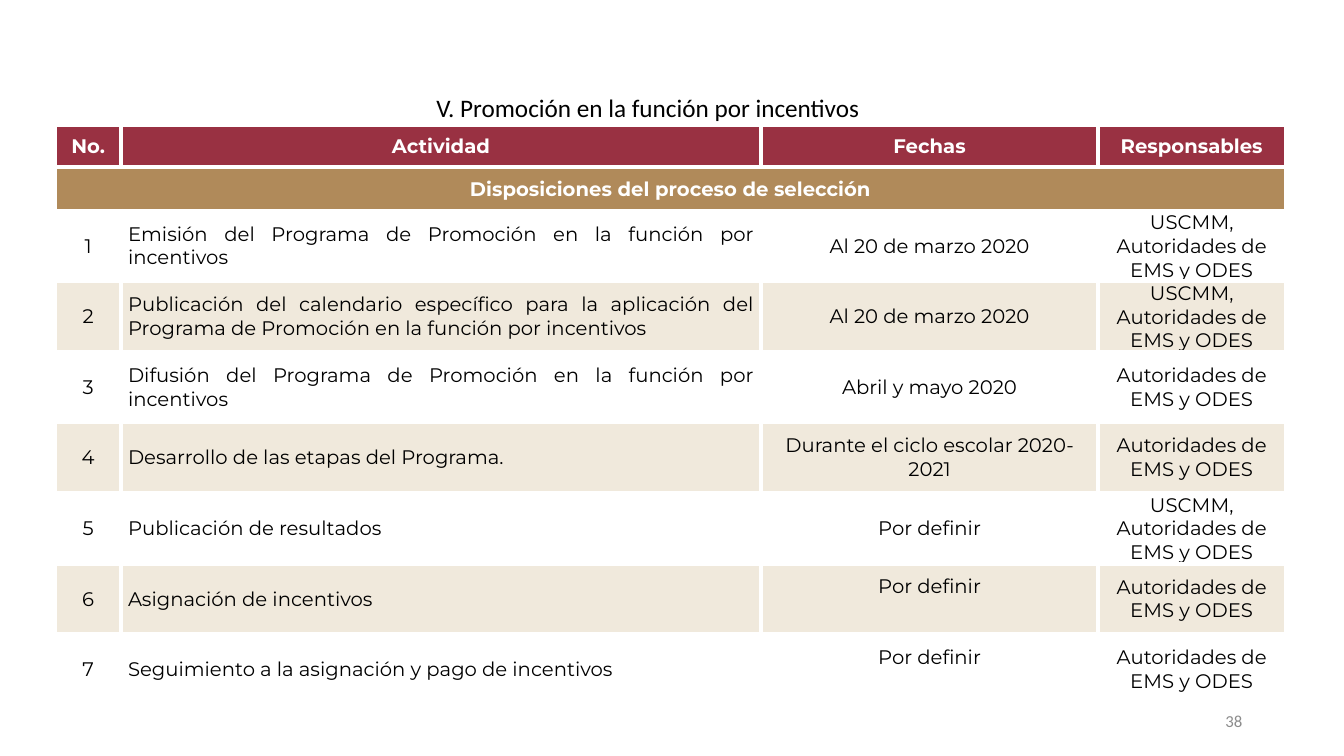
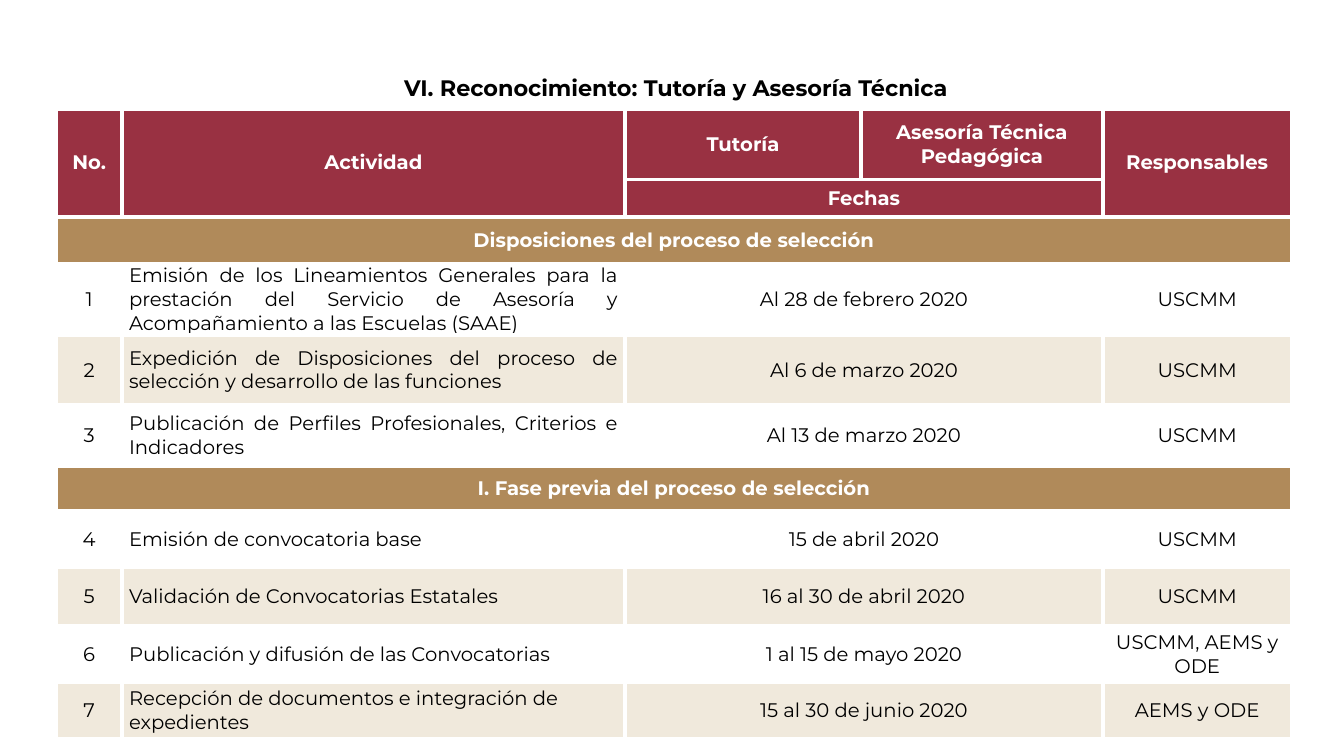
from dataclasses import dataclass

import lxml.etree
import pptx
import pptx.dml.color
import pptx.enum.text
import pptx.oxml.ns
import pptx.util

# Shared look
PX = 9144  # one px is a hundredth of an inch
BODY_FONT, PLAIN_FONT = "Montserrat", "Calibri"
WINE, GOLD, CREAM, WHITE, BLACK, GRAY = "993142", "B08A5A", "F0E9DC", "FFFFFF", "000000", "8C8C8C"
CELL_SIZE, BORDER_POINTS, CELL_MARGIN = 14, 3, 7
ALIGN = pptx.enum.text.PP_ALIGN
ANCHOR = pptx.enum.text.MSO_ANCHOR


@dataclass(frozen=True)
class Heading:
    text: str
    row: int
    column: int
    rows: int = 1
    columns: int = 1


@dataclass(frozen=True)
class Section:
    text: str


@dataclass(frozen=True)
class Activity:
    text: str
    dates: str
    responsible: str
    justified: bool = True
    dates_bottom: int = 0


@dataclass(frozen=True)
class Schedule:
    title: str
    title_box: tuple[int, int, int, int]
    title_font: str
    title_size: int
    title_bold: bool
    corner: tuple[int, int]
    widths: list[int]
    heights: list[int]
    headings: list[Heading]
    entries: list[Section | Activity]
    number: str = ""


def px(length: int) -> pptx.util.Emu:
    return pptx.util.Emu(length * PX)


def color(value: str) -> pptx.dml.color.RGBColor:
    return pptx.dml.color.RGBColor.from_string(value)


def write(frame, text: str, *, font: str = BODY_FONT, size: int = CELL_SIZE,
          ink: str = BLACK, bold: bool = False, align=ALIGN.CENTER) -> None:
    para = frame.paragraphs[0]
    para.alignment = align
    span = para.add_run()
    span.text = text
    span.font.name = font
    span.font.size = pptx.util.Pt(size)
    span.font.bold = bold
    span.font.color.rgb = color(ink)


def add_text(page, place: tuple[int, int, int, int], text: str, *,
             wrap: bool = True, anchor=ANCHOR.TOP, **style) -> None:
    box = page.shapes.add_textbox(*map(px, place))
    frame = box.text_frame
    frame.word_wrap = wrap
    frame.vertical_anchor = anchor
    if not wrap:
        frame.auto_size = pptx.enum.text.MSO_AUTO_SIZE.SHAPE_TO_FIT_TEXT
    write(frame, text, **style)


# Table parts
def set_borders(cell) -> None:
    properties = cell._tc.get_or_add_tcPr()
    for position, side in enumerate(("lnL", "lnR", "lnT", "lnB")):
        line = lxml.etree.Element(pptx.oxml.ns.qn(f"a:{side}"), w=str(pptx.util.Pt(BORDER_POINTS)))
        fill = lxml.etree.SubElement(line, pptx.oxml.ns.qn("a:solidFill"))
        lxml.etree.SubElement(fill, pptx.oxml.ns.qn("a:srgbClr"), val=WHITE)
        properties.insert(position, line)


def paint_row(table, row: int, fill: str) -> None:
    for cell in table.rows[row].cells:
        cell.fill.solid()
        cell.fill.fore_color.rgb = color(fill)
        cell.vertical_anchor = ANCHOR.MIDDLE
        cell.margin_left = cell.margin_right = px(CELL_MARGIN)
        cell.margin_top = cell.margin_bottom = 0
        set_borders(cell)


def fill_cell(table, row: int, column: int, text: str, *, rows: int = 1,
              columns: int = 1, **style):
    cell = table.cell(row, column)
    if rows > 1 or columns > 1:
        cell.merge(table.cell(row + rows - 1, column + columns - 1))
    write(cell.text_frame, text, **style)
    return cell


def add_activity(table, row: int, number: int, activity: Activity) -> None:
    last = len(table.columns) - 1
    fill_cell(table, row, 0, str(number))
    fill_cell(table, row, 1, activity.text,
              align=ALIGN.JUSTIFY if activity.justified else ALIGN.LEFT)
    dates = fill_cell(table, row, 2, activity.dates, columns=last - 2)
    dates.margin_bottom = px(activity.dates_bottom)
    fill_cell(table, row, last, activity.responsible)


def add_table(page, schedule: Schedule) -> None:
    widths, heights = schedule.widths, schedule.heights
    table = page.shapes.add_table(
        len(heights), len(widths), *map(px, (*schedule.corner, sum(widths), sum(heights)))).table
    table.first_row = table.horz_banding = False
    for column, width in zip(table.columns, widths):
        column.width = px(width)
    for row, height in zip(table.rows, heights):
        row.height = px(height)

    header_rows = len(heights) - len(schedule.entries)
    for row in range(header_rows):
        paint_row(table, row, WINE)
    for heading in schedule.headings:
        fill_cell(table, heading.row, heading.column, heading.text, rows=heading.rows,
                  columns=heading.columns, ink=WHITE, bold=True)

    # Numbers run on through the table; the bands restart in each section
    number, banded = 0, False
    for row, entry in enumerate(schedule.entries, header_rows):
        if isinstance(entry, Section):
            paint_row(table, row, GOLD)
            fill_cell(table, row, 0, entry.text, columns=len(widths), ink=WHITE, bold=True)
            banded = False
        else:
            number += 1
            paint_row(table, row, CREAM if banded else WHITE)
            add_activity(table, row, number, entry)
            banded = not banded


def add_page(deck, schedule: Schedule) -> None:
    page = deck.slides.add_slide(deck.slide_layouts[6])
    if schedule.number:
        add_text(page, (942, 695, 300, 40), schedule.number, anchor=ANCHOR.MIDDLE,
                 font=PLAIN_FONT, size=12, ink=GRAY, align=ALIGN.RIGHT)
    add_table(page, schedule)
    add_text(page, schedule.title_box, schedule.title, wrap=False, font=schedule.title_font,
             size=schedule.title_size, bold=schedule.title_bold, align=ALIGN.LEFT)


# Content
AUTHORITIES = "Autoridades de EMS y ODES"
ALL_PARTIES = f"USCMM, {AUTHORITIES}"
SELECTION = Section("Disposiciones del proceso de selección")

INCENTIVES = Schedule(
    title="V. Promoción en la función por incentivos", title_box=(423, 87, 445, 40),
    title_font=PLAIN_FONT, title_size=18, title_bold=False, number="38",
    corner=(55, 124), widths=[65, 635, 334, 186], heights=[42, 43] + [70] * 7,
    headings=[Heading(text, 0, column) for column, text in
              enumerate(("No.", "Actividad", "Fechas", "Responsables"))],
    entries=[
        SELECTION,
        Activity("Emisión del Programa de Promoción en la función por incentivos",
                 "Al 20 de marzo 2020", ALL_PARTIES),
        Activity("Publicación del calendario específico para la aplicación del "
                 "Programa de Promoción en la función por incentivos",
                 "Al 20 de marzo 2020", ALL_PARTIES),
        Activity("Difusión del Programa de Promoción en la función por incentivos",
                 "Abril y mayo 2020", AUTHORITIES),
        Activity("Desarrollo de las etapas del Programa.",
                 "Durante el ciclo escolar 2020-2021", AUTHORITIES),
        Activity("Publicación de resultados", "Por definir", ALL_PARTIES, justified=False),
        Activity("Asignación de incentivos", "Por definir", AUTHORITIES,
                 justified=False, dates_bottom=24),
        Activity("Seguimiento a la asignación y pago de incentivos", "Por definir",
                 AUTHORITIES, justified=False, dates_bottom=24),
    ])

RECOGNITION = Schedule(
    title="VI. Reconocimiento: Tutoría y Asesoría Técnica", title_box=(391, 69, 570, 37),
    title_font=BODY_FONT, title_size=16, title_bold=True,
    corner=(56, 108), widths=[65, 499, 234, 240, 187],
    heights=[70, 37, 47, 70, 70, 60, 45, 56, 58, 56, 56],
    headings=[
        Heading("No.", 0, 0, rows=2),
        Heading("Actividad", 0, 1, rows=2),
        Heading("Tutoría", 0, 2),
        Heading("Asesoría Técnica Pedagógica", 0, 3),
        Heading("Responsables", 0, 4, rows=2),
        Heading("Fechas", 1, 2, columns=2),
    ],
    entries=[
        SELECTION,
        Activity("Emisión de los Lineamientos Generales para la prestación del Servicio "
                 "de Asesoría y Acompañamiento a las Escuelas (SAAE)",
                 "Al 28 de febrero 2020", "USCMM"),
        Activity("Expedición de Disposiciones del proceso de selección y desarrollo "
                 "de las funciones", "Al 6 de marzo 2020", "USCMM"),
        Activity("Publicación de Perfiles Profesionales, Criterios e Indicadores",
                 "Al 13 de marzo 2020", "USCMM"),
        Section("I. Fase previa del proceso de selección"),
        Activity("Emisión de convocatoria base", "15 de abril 2020", "USCMM"),
        Activity("Validación de Convocatorias Estatales", "16 al 30 de abril 2020", "USCMM"),
        Activity("Publicación y difusión de las Convocatorias",
                 "1 al 15 de mayo 2020", "USCMM, AEMS y ODE"),
        Activity("Recepción de documentos e integración de expedientes",
                 "15 al 30 de junio 2020", "AEMS y ODE", justified=False),
    ])


def main() -> None:
    deck = pptx.Presentation()
    deck.slide_width, deck.slide_height = px(1333), px(750)
    for schedule in (INCENTIVES, RECOGNITION):
        add_page(deck, schedule)
    deck.save("out.pptx")


if __name__ == "__main__":
    main()
